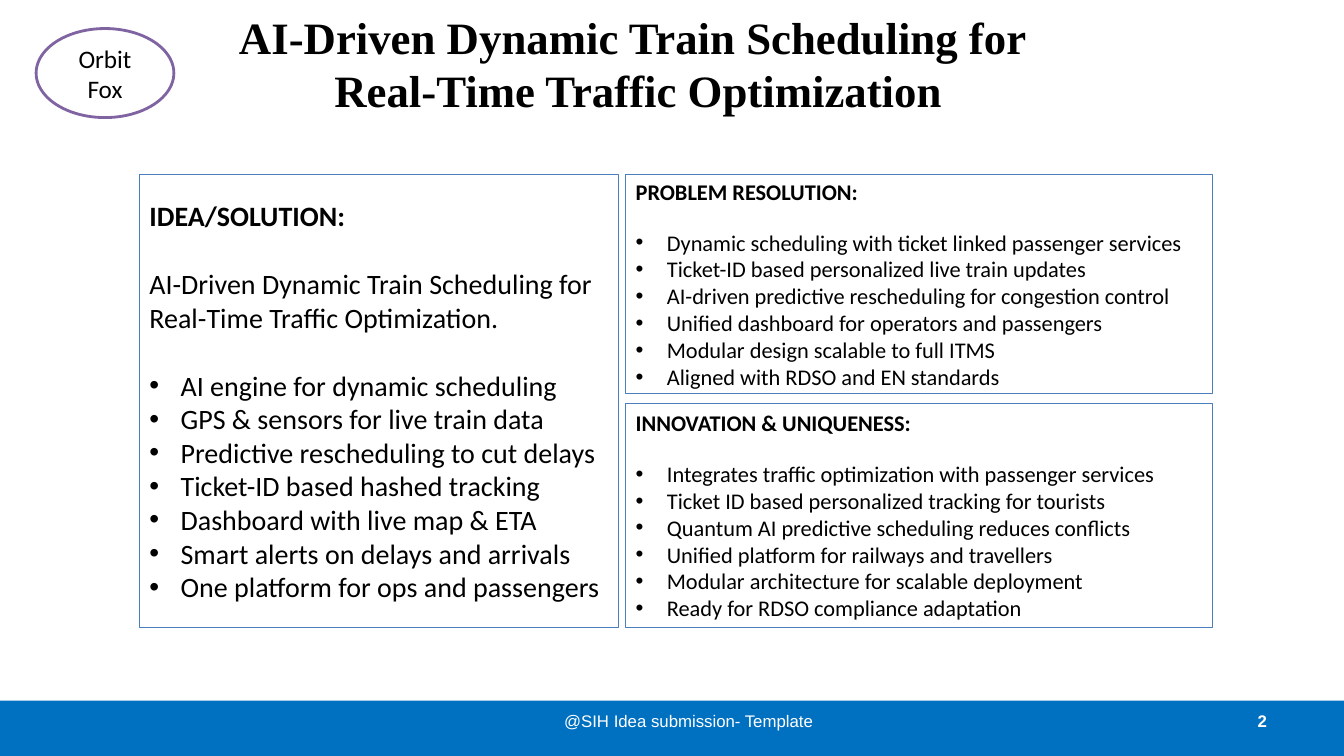
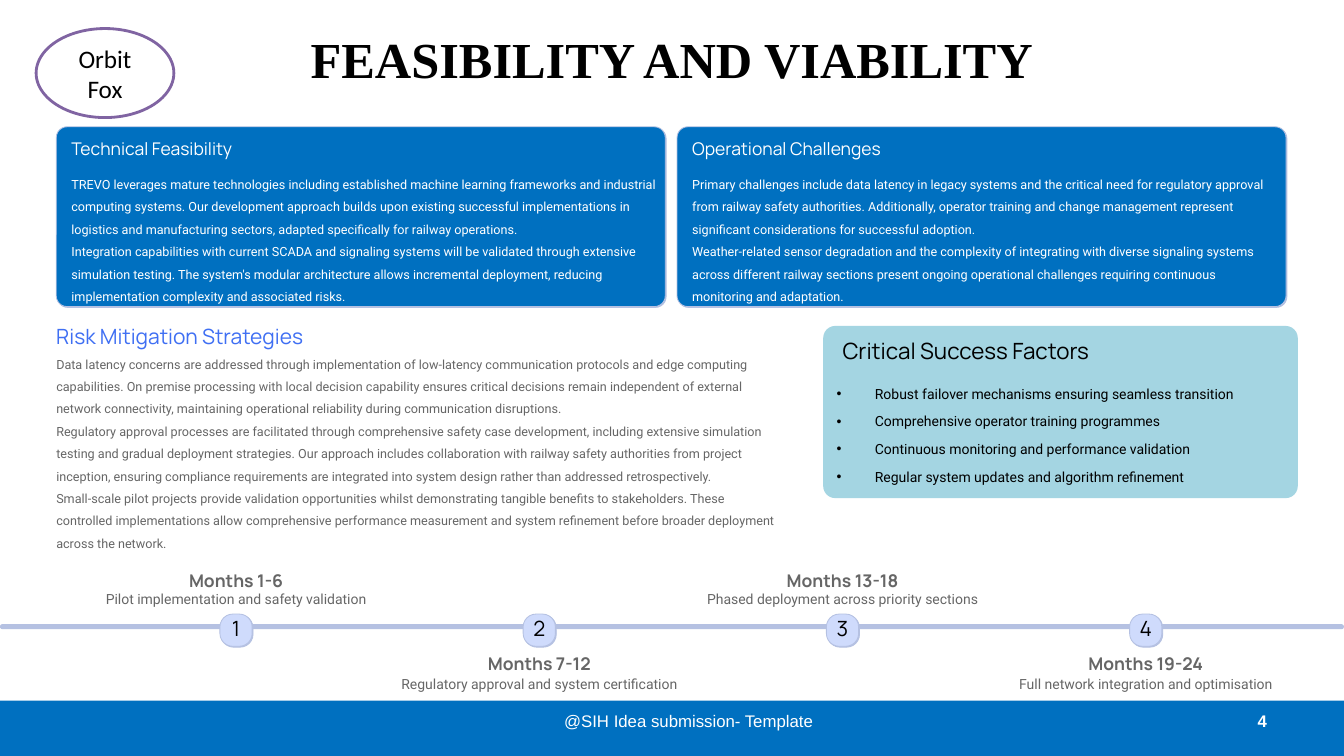
from pptx import Presentation
from pptx import util as u
from pptx.dml.color import RGBColor
from pptx.enum import shapes, text
from pptx.oxml.ns import qn
from lxml import etree

COLUMNS, ROWS = 160, 90
WIDTH, HEIGHT = u.Inches(13.333), u.Inches(7.5)
COLORS = {
    "band": "0070C0", "white": "FFFFFF", "black": "000000", "badge": "8064A2",
    "box": "4B7EBC", "edge": "B5C1E2", "node": "CFDBFC", "panel": "4BACC6",
    "accent": "3F6FF3", "muted": "666666", "shade": "808080",
}
KINDS = shapes.MSO_SHAPE
LEFT, CENTER, RIGHT = text.PP_ALIGN.LEFT, text.PP_ALIGN.CENTER, text.PP_ALIGN.RIGHT
TOP, MIDDLE = text.MSO_ANCHOR.TOP, text.MSO_ANCHOR.MIDDLE
BAND_TOP = 83.4
EDGE_SHADOW = ("edge", 100, 0.9, 45)


def style(name, size, color, bold=False, spacing=None, indent=0, align=LEFT):
    return {
        "font": {"name": name, "size": u.Pt(size), "bold": bold},
        "color": color,
        "para": {"line_spacing": u.Pt(spacing) if spacing else None, "alignment": align},
        "indent": indent,
    }


STYLES = {
    "title": style("Times New Roman", 32, "black", True, align=CENTER),
    "big title": style("Times New Roman", 36, "black", True, align=CENTER),
    "footer": style("Arial", 12, "white", align=CENTER),
    "number": style("Arial", 12, "white", True, align=RIGHT),
    "badge": style("Calibri", 18, "black", align=CENTER),
    "idea head": style("Calibri", 20, "black", True),
    "idea": style("Calibri", 20, "black"),
    "idea bullet": style("Calibri", 20, "black", indent=0.31),
    "box head": style("Calibri", 16, "black", True),
    "box bullet": style("Calibri", 16, "black", indent=0.31),
    "card head": style("Manrope", 12.5, "white", spacing=15.5),
    "card body": style("Roboto", 9, "white", spacing=16),
    "risk head": style("Manrope", 15, "accent", spacing=19),
    "risk body": style("Roboto", 9, "muted", spacing=16),
    "panel head": style("Manrope", 16, "black", spacing=15.5),
    "panel bullet": style("Roboto", 10, "black", spacing=16, indent=0.38),
    "node": style("Manrope", 15, "black", spacing=15, align=CENTER),
    "months": style("Manrope", 12.5, "muted", True, 15.5, align=CENTER),
    "caption": style("Roboto", 10, "muted", spacing=16, align=CENTER),
}


def rgb(name):
    return RGBColor.from_string(COLORS[name])


def grid(left, top, width, height):
    """Turn columns and rows into lengths on the slide."""
    column, row = WIDTH / COLUMNS, HEIGHT / ROWS
    return [round(n) for n in (left * column, top * row, width * column, height * row)]


def add_bullet(para, indent):
    props = para._p.get_or_add_pPr()
    props.set("marL", str(u.Inches(indent)))
    props.set("indent", str(-u.Inches(indent)))
    etree.SubElement(props, qn("a:buFont"), typeface="Arial")
    etree.SubElement(props, qn("a:buChar"), char="•")


def write(shape, items, anchor=MIDDLE, inset=None):
    """Fill a shape with (text, style name, points of space before) paragraphs."""
    frame = shape.text_frame
    settings = {"word_wrap": True, "auto_size": text.MSO_AUTO_SIZE.NONE,
                "vertical_anchor": anchor}
    if inset is not None:
        sides = ("left", "right", "top", "bottom")
        settings |= {f"margin_{side}": u.Inches(inset) for side in sides}
    for key, value in settings.items():
        setattr(frame, key, value)
    for index, (words, style_name, gap) in enumerate(items):
        look = STYLES[style_name]
        para = frame.add_paragraph() if index else frame.paragraphs[0]
        para.text = words
        for key, value in look["para"].items():
            setattr(para, key, value)
        if gap:
            para.space_before = u.Pt(gap)
        if look["indent"]:
            add_bullet(para, look["indent"])
        for span in para.runs:
            for key, value in look["font"].items():
                setattr(span.font, key, value)
            span.font.color.rgb = rgb(look["color"])


def add_text(page, place, items, anchor=TOP, inset=0):
    write(page.shapes.add_textbox(*grid(*place)), items, anchor, inset)


def set_shadow(shape, color, alpha, distance, angle):
    effects = shape._element.spPr.find(qn("a:effectLst"))
    shadow = etree.SubElement(effects, qn("a:outerShdw"), blurRad="0", algn="tl",
                              dist=str(u.Pt(distance)), dir=str(angle * 60000),
                              rotWithShape="0")
    tint = etree.SubElement(shadow, qn("a:srgbClr"), val=COLORS[color])
    etree.SubElement(tint, qn("a:alpha"), val=str(alpha * 1000))


def add_block(page, kind, place, fill=None, line=None, weight=0.75, corner=None,
              shadow=None, alpha=None):
    block = page.shapes.add_shape(kind, *grid(*place))
    block.shadow.inherit = False
    if fill:
        block.fill.solid()
        block.fill.fore_color.rgb = rgb(fill)
    else:
        block.fill.background()
    if line:
        block.line.color.rgb = rgb(line)
        block.line.width = u.Pt(weight)
    else:
        block.line.fill.background()
    if corner is not None:
        block.adjustments[0] = corner
    if shadow:
        set_shadow(block, *shadow)
    if alpha:
        tint = block._element.spPr.find(qn("a:solidFill")).find(qn("a:srgbClr"))
        etree.SubElement(tint, qn("a:alpha"), val=str(alpha * 1000))
    return block


def add_page(deck, title, title_style, title_place, number):
    """Add a slide with its title, footer band and team badge."""
    page = deck.slides.add_slide(deck.slide_layouts[5])
    heading = page.shapes.title
    for key, value in zip(("left", "top", "width", "height"), grid(*title_place)):
        setattr(heading, key, value)
    write(heading, [(title, title_style, 0)])
    add_block(page, KINDS.RECTANGLE, (0, BAND_TOP, COLUMNS, ROWS - BAND_TOP), "band",
              shadow=("shade", 35, 1.8, 90))
    add_text(page, (114.7, BAND_TOP, 37.3, 4.8), [(number, "number", 0)], MIDDLE, 0.1)
    add_text(page, (61, BAND_TOP, 42, 4.8),
             [("@SIH Idea submission- Template", "footer", 0)], MIDDLE, 0.1)
    badge = add_block(page, KINDS.OVAL, (4.3, 3.4, 16.4, 10.6), "white", "badge", 2)
    write(badge, [("Orbit Fox", "badge", 0)])
    return page


def bullets(lines, style_name, first_gap=0.0, gap=0.0):
    return [(line, style_name, gap if index else first_gap)
            for index, line in enumerate(lines)]


def add_box(page, place, items):
    write(add_block(page, KINDS.RECTANGLE, place, line="box"), items)


def add_card(page, left, heading, paragraphs):
    add_block(page, KINDS.ROUNDED_RECTANGLE, (left, 15.1, 72.5, 21.4), "band", "edge",
              0.6, 0.06, EDGE_SHADOW)
    add_text(page, (left + 1.8, 16.4, 69.7, 2.6), [(heading, "card head", 0)])
    add_text(page, (left + 1.8, 20.2, 69.7, 16), bullets(paragraphs, "card body"))


def add_timeline(page, steps):
    add_block(page, KINDS.ROUNDED_RECTANGLE, (0, 74.3, COLUMNS, 0.6), "edge", corner=0.5)
    size, first, pitch = 3.84, 28.1, 36.1
    for index, (months, caption) in enumerate(steps):
        center = first + index * pitch
        node = add_block(page, KINDS.ROUNDED_RECTANGLE,
                         (center - size / 2, 73.1, size, size), "node", "edge", 0.6,
                         0.4, EDGE_SHADOW)
        write(node, [(str(index + 1), "node", 0)], inset=0)
        months_top, caption_top = (77.6, 79.7) if index % 2 else (67.8, 69.6)
        add_text(page, (center - 10.5, months_top, 21, 2.6), [(months, "months", 0)])
        add_text(page, (center - 17.4, caption_top, 34.8, 2.8), [(caption, "caption", 0)])


def build_idea(deck):
    page = add_page(deck, "AI-Driven Dynamic Train Scheduling for \vReal-Time Traffic Optimization",
                    "title", (18.1, 0, 115.8, 15), "2")
    add_box(page, (16.6, 20.8, 57, 53.9), [
        ("IDEA/SOLUTION:", "idea head", 0),
        ("AI-Driven Dynamic Train Scheduling for \vReal-Time Traffic Optimization.", "idea", 24.4),
    ] + bullets([
        "AI engine for dynamic scheduling",
        "GPS & sensors for live train data",
        "Predictive rescheduling to cut delays",
        "Ticket-ID based hashed tracking",
        "Dashboard with live map & ETA",
        "Smart alerts on delays and arrivals",
        "One platform for ops and passengers",
    ], "idea bullet", 24.4))
    sections = [
        (20.8, 26, "PROBLEM RESOLUTION:", [
            "Dynamic scheduling with ticket linked passenger services",
            "Ticket-ID based personalized live train updates",
            "AI-driven predictive rescheduling for congestion control",
            "Unified dashboard for operators and passengers",
            "Modular design scalable to full ITMS",
            "Aligned with RDSO and EN standards",
        ]),
        (48, 26.7, "INNOVATION & UNIQUENESS:", [
            "Integrates traffic optimization with passenger services",
            "Ticket ID based personalized tracking for tourists",
            "Quantum AI predictive scheduling reduces conflicts",
            "Unified platform for railways and travellers",
            "Modular architecture for scalable deployment",
            "Ready for RDSO compliance adaptation",
        ]),
    ]
    for top, height, heading, lines in sections:
        add_box(page, (74.5, top, 69.8, height),
                [(heading, "box head", 0)] + bullets(lines, "box bullet", 17))


def build_feasibility(deck):
    page = add_page(deck, "FEASIBILITY AND VIABILITY", "big title", (8, -0.6, 144, 15), "4")
    add_card(page, 6.7, "Technical Feasibility", [
        "TREVO leverages mature technologies including established machine learning frameworks and industrial computing systems. Our development approach builds upon existing successful implementations in logistics and manufacturing sectors, adapted specifically for railway operations.",
        "Integration capabilities with current SCADA and signaling systems will be validated through extensive simulation testing. The system's modular architecture allows incremental deployment, reducing implementation complexity and associated risks.",
    ])
    add_card(page, 80.6, "Operational Challenges", [
        "Primary challenges include data latency in legacy systems and the critical need for regulatory approval from railway safety authorities. Additionally, operator training and change management represent significant considerations for successful adoption.",
        "Weather-related sensor degradation and the complexity of integrating with diverse signaling systems across different railway sections present ongoing operational challenges requiring continuous monitoring and adaptation.",
    ])
    add_text(page, (6.7, 38.3, 40, 3.1), [("Risk Mitigation Strategies", "risk head", 0)])
    add_text(page, (6.7, 41.6, 86.5, 28.3), bullets([
        "Data latency concerns are addressed through implementation of low-latency communication protocols and edge computing capabilities. On premise processing with local decision capability ensures critical decisions remain independent of external network connectivity, maintaining operational reliability during communication disruptions.",
        "Regulatory approval processes are facilitated through comprehensive safety case development, including extensive simulation testing and gradual deployment strategies. Our approach includes collaboration with railway safety authorities from project inception, ensuring compliance requirements are integrated into system design rather than addressed retrospectively.",
        "Small-scale pilot projects provide validation opportunities whilst demonstrating tangible benefits to stakeholders. These controlled implementations allow comprehensive performance measurement and system refinement before broader deployment across the network.",
    ], "risk body"))
    add_block(page, KINDS.ROUNDED_RECTANGLE, (98, 38.8, 56.5, 20.5), "panel",
              corner=0.07, alpha=50)
    add_text(page, (100.3, 40.8, 45, 4), [("Critical Success Factors", "panel head", 0)])
    add_text(page, (99.6, 45.2, 50.2, 13), bullets([
        "Robust failover mechanisms ensuring seamless transition",
        "Comprehensive operator training programmes",
        "Continuous monitoring and performance validation",
        "Regular system updates and algorithm refinement",
    ], "panel bullet", gap=3.75))
    add_timeline(page, [
        ("Months 1-6", "Pilot implementation and safety validation"),
        ("Months 7-12", "Regulatory approval and system certification"),
        ("Months 13-18", "Phased deployment across priority sections"),
        ("Months 19-24", "Full network integration and optimisation"),
    ])


def main():
    deck = Presentation()
    deck.slide_width, deck.slide_height = WIDTH, HEIGHT
    build_idea(deck)
    build_feasibility(deck)
    deck.save("out.pptx")


if __name__ == "__main__":
    main()
